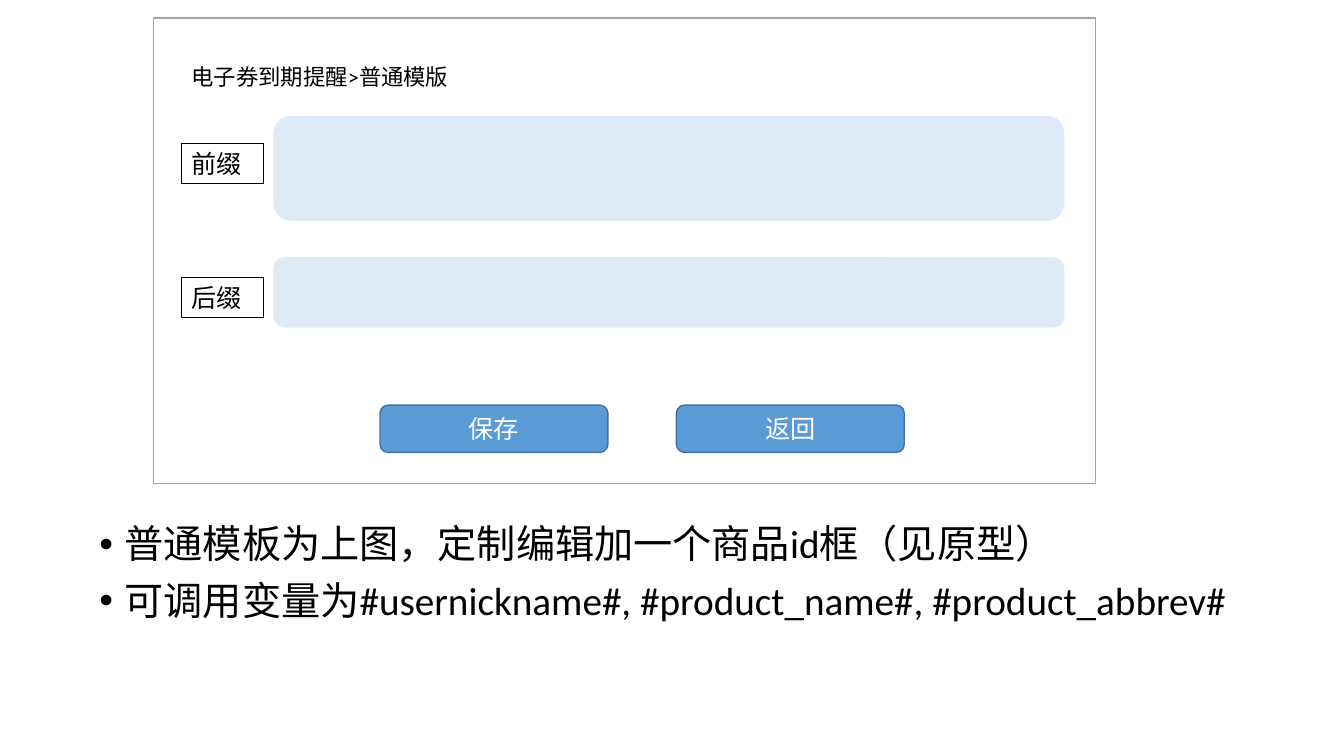
import pptx
import pptx.util
import pptx.dml.color
import pptx.enum.shapes
import pptx.enum.text
import pptx.oxml
import pptx.oxml.ns
from pptx.util import Pt

RGB = pptx.dml.color.RGBColor
SHAPE = pptx.enum.shapes.MSO_SHAPE
ALIGN = pptx.enum.text.PP_ALIGN
ANCHOR = pptx.enum.text.MSO_ANCHOR
AUTO_SIZE = pptx.enum.text.MSO_AUTO_SIZE

BLACK = RGB(0x00, 0x00, 0x00)
WHITE = RGB(0xFF, 0xFF, 0xFF)
GRAY = RGB(0xA5, 0xA5, 0xA5)
PALE_BLUE = RGB(0xDE, 0xEB, 0xF7)
BLUE = RGB(0x5B, 0x9B, 0xD5)
DARK_BLUE = RGB(0x43, 0x73, 0x9E)

prs = pptx.Presentation()
prs.slide_width, prs.slide_height = Pt(960), Pt(540)
slide = prs.slides.add_slide(prs.slide_layouts[5])


def add_box(preset, left, top, width, height, fill, line, weight):
    box = slide.shapes.add_shape(preset, Pt(left), Pt(top), Pt(width), Pt(height))
    box.shadow.inherit = False
    if fill is None:
        box.fill.background()
    else:
        box.fill.solid()
        box.fill.fore_color.rgb = fill
    box.line.color.rgb = line
    box.line.width = Pt(weight)
    return box


def write(shape, lines, size, color, align, anchor):
    frame = shape.text_frame
    frame.text = "\n".join(lines)
    frame.word_wrap = True
    frame.auto_size = AUTO_SIZE.NONE
    frame.vertical_anchor = anchor
    for paragraph in frame.paragraphs:
        paragraph.alignment = align
        for run in paragraph.runs:
            run.font.name = "Calibri"
            run.font.size = Pt(size)
            run.font.color.rgb = color


# Dialog panel, placed behind the title
panel = add_box(SHAPE.RECTANGLE, 109.5, 13, 673, 332.5, WHITE, GRAY, 1)
slide.shapes._spTree.insert(2, panel._element)

# Breadcrumb title
title = slide.shapes.title
title.left, title.top, title.width, title.height = Pt(129.6), Pt(33), Pt(387.5), Pt(46)
write(title, ["电子券到期提醒>普通模版"], 16, BLACK, ALIGN.LEFT, ANCHOR.MIDDLE)
title.text_frame.paragraphs[0].line_spacing = 0.9

# Labelled input fields
for caption, field_top, field_height, label_top in (
    ("前缀", 82, 76.5, 102.25),
    ("后缀", 183, 51.8, 198),
):
    add_box(SHAPE.ROUNDED_RECTANGLE, 194.5, field_top, 566.5, field_height,
            PALE_BLUE, WHITE, 1.5)
    label = add_box(SHAPE.RECTANGLE, 129.6, label_top, 58.5, 29.1, None, BLACK, 0.75)
    write(label, [caption], 18, BLACK, ALIGN.LEFT, ANCHOR.TOP)

# Buttons
for column, caption in enumerate(("保存", "返回")):
    button = add_box(SHAPE.ROUNDED_RECTANGLE, 271.5 + column * 211.7, 289.4, 162.7, 33.8,
                     BLUE, DARK_BLUE, 1)
    write(button, [caption], 18, WHITE, ALIGN.CENTER, ANCHOR.MIDDLE)

# Bulleted notes
notes = slide.shapes.add_textbox(Pt(64), Pt(371.5), Pt(828), Pt(93.5))
write(notes, ["普通模板为上图，定制编辑加一个商品id框（见原型）",
              "可调用变量为#usernickname#, #product_name#, #product_abbrev#"],
      28, BLACK, ALIGN.LEFT, ANCHOR.TOP)
for paragraph in notes.text_frame.paragraphs:
    paragraph.line_spacing = 0.9
    paragraph.space_before = Pt(10)
    properties = paragraph._p.get_or_add_pPr()
    properties.set("marL", str(Pt(18)))
    properties.set("indent", str(Pt(-18)))
    for tag, name, value in (("a:buFont", "typeface", "Arial"), ("a:buChar", "char", "•")):
        bullet = pptx.oxml.parse_xml(f"<{tag} {pptx.oxml.ns.nsdecls('a')} {name}='{value}'/>")
        properties.append(bullet)

prs.save("out.pptx")
